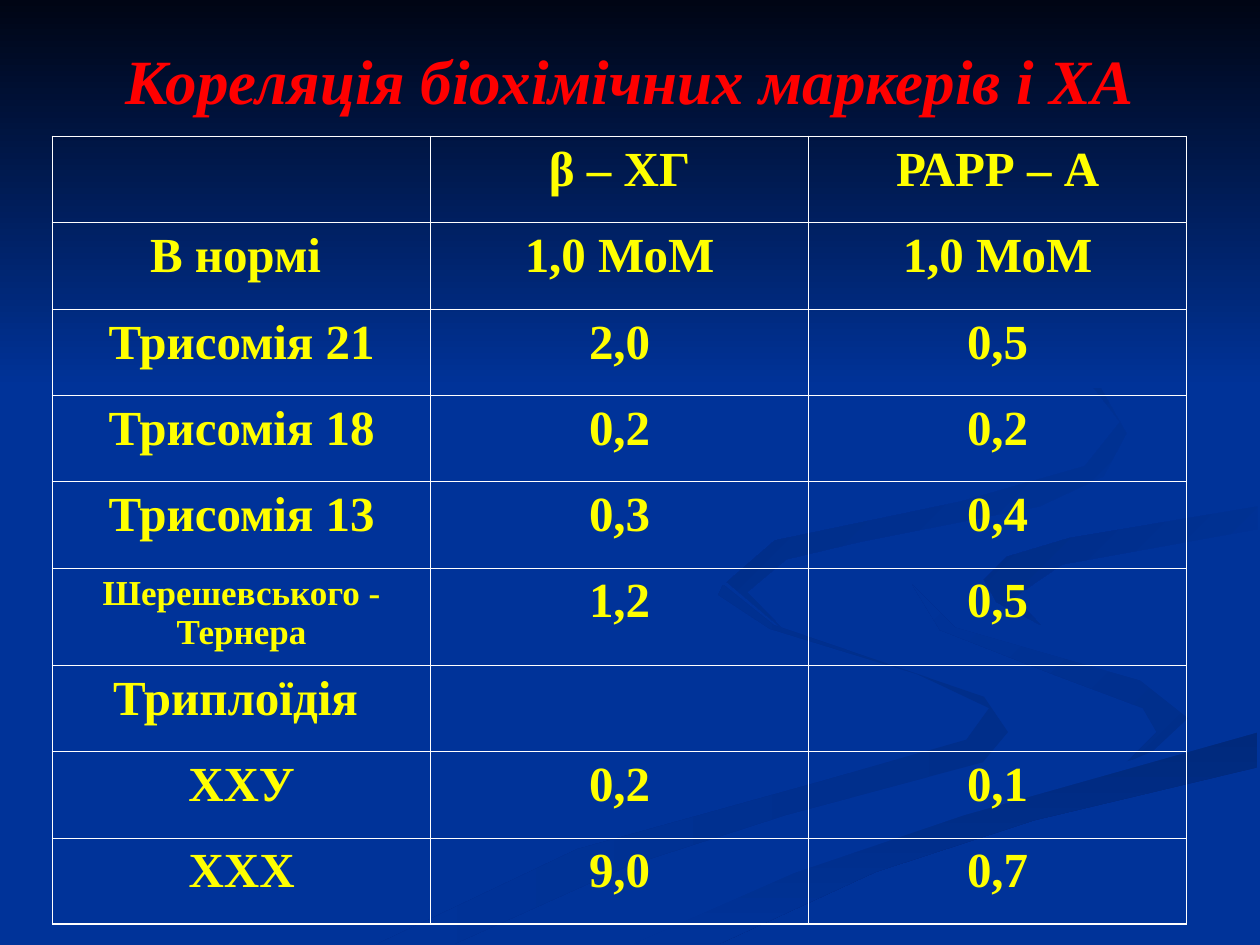
from lxml.etree import SubElement
from pptx import Presentation
from pptx.dml.color import RGBColor
from pptx.enum.text import MSO_ANCHOR, PP_ALIGN
from pptx.oxml.ns import qn
from pptx.util import Cm, Pt

THEME = {
    "font": "Times New Roman",
    "blue": "003399",
    "night": "000514",
    "title": "FF0000",
    "text": "FFFF00",
    "border": "FFFFFF",
    "title_size": 36,
    "cell_size": 28,
    "small_size": 20,
    "outer_line": 1.08,
    "inner_line": 0.45,
}
BLUE = THEME["blue"]
UNIT = Cm(0.0254)

RIBBONS = [
    ("002E8A", BLUE, 180, [
        (781, 553), (614, 496), (574, 464), (570, 472), (611, 499), (728, 535),
        (785, 562), (767, 587), (652, 620), (458, 674), (300, 749), (361, 749),
        (499, 687), (623, 647), (780, 605), (800, 581)]),
    ("002E8A", BLUE, 225, [
        (943, 570), (905, 540), (758, 498), (724, 464), (746, 500), (838, 536),
        (907, 562), (918, 581), (894, 605), (932, 589)]),
    ("00297C", BLUE, 90, [
        (503, 749), (571, 749), (695, 692), (821, 651), (998, 609), (998, 581),
        (764, 647), (630, 693)]),
    (BLUE, BLUE, 90, [
        (725, 464), (759, 498), (905, 540), (943, 570), (911, 600), (743, 643),
        (477, 749), (503, 749), (630, 693), (765, 647), (999, 581), (999, 538),
        (832, 498), (781, 463), (822, 434), (999, 402), (999, 387), (755, 432)]),
    (BLUE, "002C85", 225, [
        (781, 460), (791, 478), (826, 496), (805, 474), (843, 448), (998, 420),
        (998, 402), (849, 427), (799, 442)]),
    (BLUE, "002B81", 225, [
        (683, 430), (825, 402), (876, 378), (894, 344), (864, 291), (762, 233),
        (846, 279), (889, 335), (861, 370), (763, 398), (615, 429), (577, 462),
        (622, 500), (593, 470), (624, 444)]),
    (THEME["night"], BLUE, 90, [(0, 0), (0, 308), (1000, 308), (1000, 0)]),
]

ROWS = [
    ("", "β – ХГ", "РАРР – А"),
    ("В нормі ", "1,0 МоМ", "1,0 МоМ"),
    ("Трисомія 21", "2,0", "0,5"),
    ("Трисомія 18", "0,2", "0,2"),
    ("Трисомія 13", "0,3", "0,4"),
    ("Шерешевського - Тернера", "1,2", "0,5"),
    ("Триплоїдія ", "", ""),
    ("ХХУ", "0,2", "0,1"),
    ("ХХХ", "9,0", "0,7"),
]
SMALL_ROW = 5


def write(tf, text, size, color, **formats):
    p = tf.paragraphs[0]
    p.alignment = PP_ALIGN.CENTER
    r = p.add_run()
    r.text = text
    r.font.color.rgb = RGBColor.from_string(color)
    values = {"name": THEME["font"], "size": Pt(size), "bold": True, **formats}
    for name, value in values.items():
        setattr(r.font, name, value)
    return p


def add_border(cell, side, width):
    ln = SubElement(cell._tc.get_or_add_tcPr(), qn(f"a:ln{side}"), w=str(Pt(width)))
    SubElement(SubElement(ln, qn("a:solidFill")), qn("a:srgbClr"), val=THEME["border"])


prs = Presentation()
prs.slide_width, prs.slide_height = Cm(25.4), Cm(19.05)
s = prs.slides.add_slide(prs.slide_layouts[6])
s.background.fill.solid()
s.background.fill.fore_color.rgb = RGBColor.from_string(BLUE)

for start, end, angle, points in RIBBONS:
    builder = s.shapes.build_freeform(*points[0], scale=UNIT)
    builder.add_line_segments(points[1:], close=True)
    sp = builder.convert_to_shape()
    sp.shadow.inherit = False
    sp.line.fill.background()
    if start == end:
        sp.fill.solid()
        sp.fill.fore_color.rgb = RGBColor.from_string(start)
    else:
        sp.fill.gradient()
        sp.fill.gradient_angle = 360 - angle
        for stop, color in zip(sp.fill.gradient_stops, (start, end)):
            stop.color.rgb = RGBColor.from_string(color)

tf = s.shapes.add_textbox(Cm(1.27), Cm(0.64), Cm(22.86), Cm(1.9)).text_frame
tf.word_wrap = True
tf.vertical_anchor = MSO_ANCHOR.MIDDLE
write(tf, "Кореляція біохімічних маркерів і ХА", THEME["title_size"], THEME["title"], italic=True)

last_row, last_col = len(ROWS) - 1, len(ROWS[0]) - 1
table = s.shapes.add_table(
    len(ROWS), len(ROWS[0]), Cm(1.06), Cm(2.75), Cm(22.86), Cm(15.88)).table
table.first_row = table.horz_banding = False
for col in table.columns:
    col.width = Cm(7.62)
for i, row in enumerate(ROWS):
    table.rows[i].height = Cm(1.96 if i == SMALL_ROW else 1.74)
    for j, text in enumerate(row):
        cell = table.cell(i, j)
        outer = {"L": j == 0, "R": j == last_col, "T": i == 0, "B": i == last_row}
        for side, is_outer in outer.items():
            add_border(cell, side, THEME["outer_line" if is_outer else "inner_line"])
        cell.fill.background()
        if text:
            small = i == SMALL_ROW and j == 0
            size = THEME["small_size" if small else "cell_size"]
            p = write(cell.text_frame, text, size, THEME["text"])
            p.space_before = Pt(size / 4)

prs.save("out.pptx")
